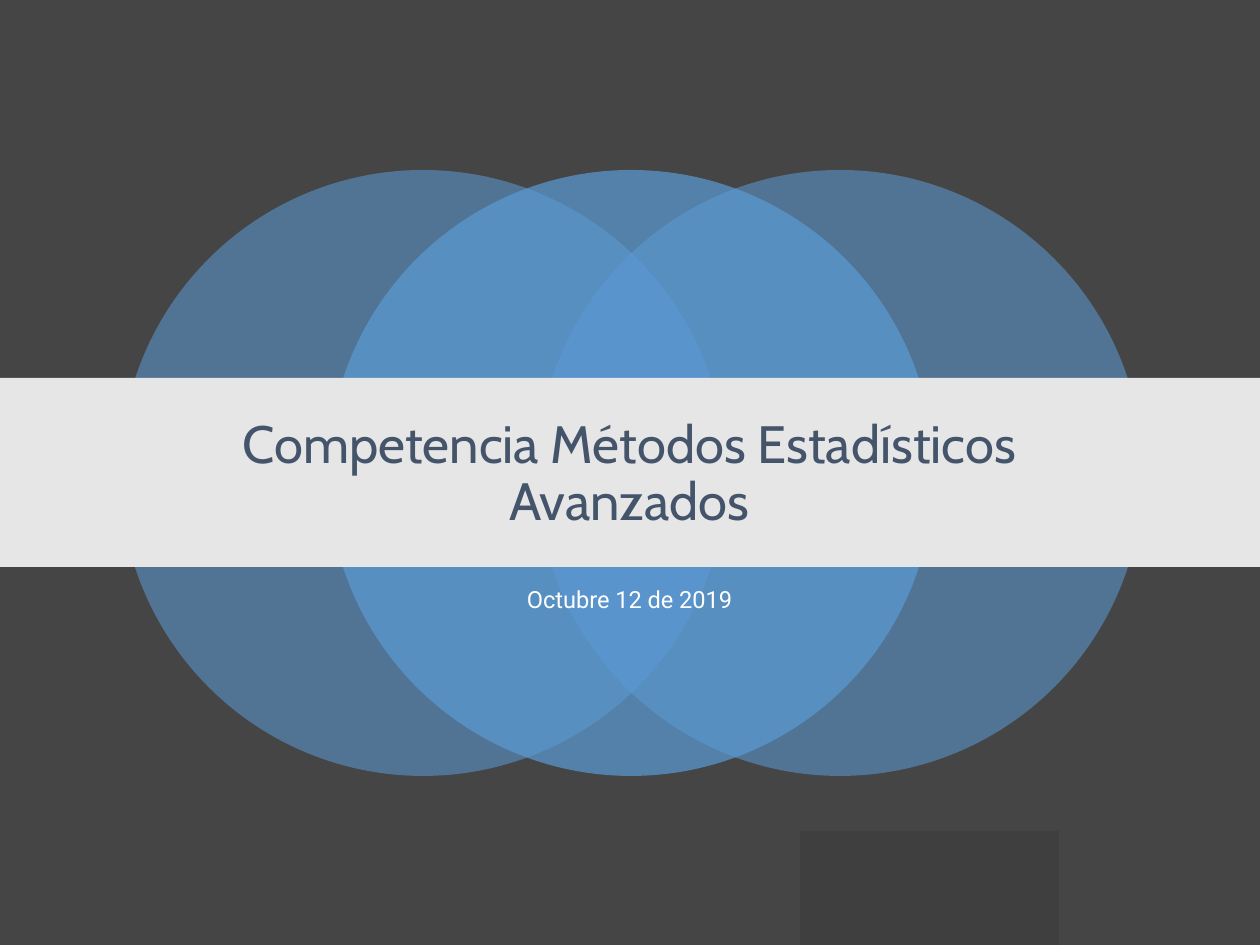
from dataclasses import dataclass

import lxml.etree
import pptx
import pptx.dml.color
import pptx.enum.shapes
import pptx.enum.text
import pptx.oxml.ns
import pptx.util

EMU_PER_PX = 914400 / 126
SHAPES = pptx.enum.shapes.MSO_SHAPE
ANCHOR = pptx.enum.text.MSO_ANCHOR


@dataclass(frozen=True)
class Theme:
    """Colours, fonts and type sizes of the slide."""
    background: str = "454545"
    circle: str = "5B9BD5"
    band: str = "E7E6E6"
    block: str = "3F3F3F"
    title: str = "44546A"
    subtitle: str = "FFFFFF"
    title_font: str = "Cabin"
    subtitle_font: str = "Roboto"
    title_pt: float = 30
    subtitle_pt: float = 13.5


@dataclass(frozen=True)
class Box:
    """A rectangle in pixels."""
    left: int
    top: int
    width: int
    height: int

    def emu(self) -> list[int]:
        """Return left, top, width and height in EMU."""
        return [px(v) for v in (self.left, self.top, self.width, self.height)]


@dataclass(frozen=True)
class Circle:
    """A translucent circle, placed by its shift from the slide's middle."""
    shift: int
    opacity: int


@dataclass(frozen=True)
class Label:
    """One centred line of text with its look."""
    text: str
    box: Box
    font: str
    size: float
    color: str
    anchor: ANCHOR
    space_before: int = 0


THEME = Theme()
SLIDE_W, SLIDE_H = 1260, 945
DIAMETER = 606
CIRCLE_TOP = 170
CIRCLES = [Circle(-208, 55), Circle(209, 55), Circle(0, 70)]
BAND = Box(0, 378, SLIDE_W, 189)
BLOCK = Box(800, 831, 259, 114)
SUBTITLE = Label("Octubre 12 de 2019", Box(157, 582, 945, 78),
                 THEME.subtitle_font, THEME.subtitle_pt, THEME.subtitle,
                 ANCHOR.TOP, 10)
TITLE = Label("Competencia Métodos Estadísticos Avanzados",
              Box(157, 404, 945, 142), THEME.title_font, THEME.title_pt,
              THEME.title, ANCHOR.MIDDLE)


def px(value: float) -> int:
    """Turn pixels into EMU."""
    return round(value * EMU_PER_PX)


def rgb(color: str) -> pptx.dml.color.RGBColor:
    """Turn a hex string into a colour."""
    return pptx.dml.color.RGBColor.from_string(color)


def add_filled(shapes, kind: SHAPES, box: Box, color: str, opacity: int = 100):
    """Add a borderless filled shape, translucent if asked."""
    sp = shapes.add_shape(kind, *box.emu())
    sp.shadow.inherit = False
    sp.line.fill.background()
    sp.fill.solid()
    sp.fill.fore_color.rgb = rgb(color)
    if opacity < 100:
        qn = pptx.oxml.ns.qn
        clr = sp.fill._xPr.find(qn("a:solidFill")).find(qn("a:srgbClr"))
        lxml.etree.SubElement(clr, qn("a:alpha"), val=str(opacity * 1000))
    return sp


def add_label(shapes, label: Label):
    """Add a centred, wrapping text box."""
    sp = shapes.add_textbox(*label.box.emu())
    tf = sp.text_frame
    tf.word_wrap = True
    tf.vertical_anchor = label.anchor
    p = tf.paragraphs[0]
    p.text = label.text
    p.alignment = pptx.enum.text.PP_ALIGN.CENTER
    p.line_spacing = 0.9
    p.space_before = pptx.util.Pt(label.space_before)
    p.font.name = label.font
    p.font.size = pptx.util.Pt(label.size)
    p.font.color.rgb = rgb(label.color)
    return sp


def add_circles(shapes):
    """Add the group of three overlapping circles."""
    group = shapes.add_group_shape()
    for circle in CIRCLES:
        left = (SLIDE_W - DIAMETER) // 2 + 1 + circle.shift
        box = Box(left, CIRCLE_TOP, DIAMETER, DIAMETER)
        add_filled(group.shapes, SHAPES.OVAL, box, THEME.circle, circle.opacity)


def main():
    """Build and save the title slide."""
    prs = pptx.Presentation()
    prs.slide_width, prs.slide_height = px(SLIDE_W), px(SLIDE_H)
    s = prs.slides.add_slide(prs.slide_layouts[6])
    s.background.fill.solid()
    s.background.fill.fore_color.rgb = rgb(THEME.background)
    add_circles(s.shapes)
    add_label(s.shapes, SUBTITLE)
    add_filled(s.shapes, SHAPES.RECTANGLE, BAND, THEME.band)
    add_label(s.shapes, TITLE)
    add_filled(s.shapes, SHAPES.RECTANGLE, BLOCK, THEME.block)
    prs.save("out.pptx")


main()
